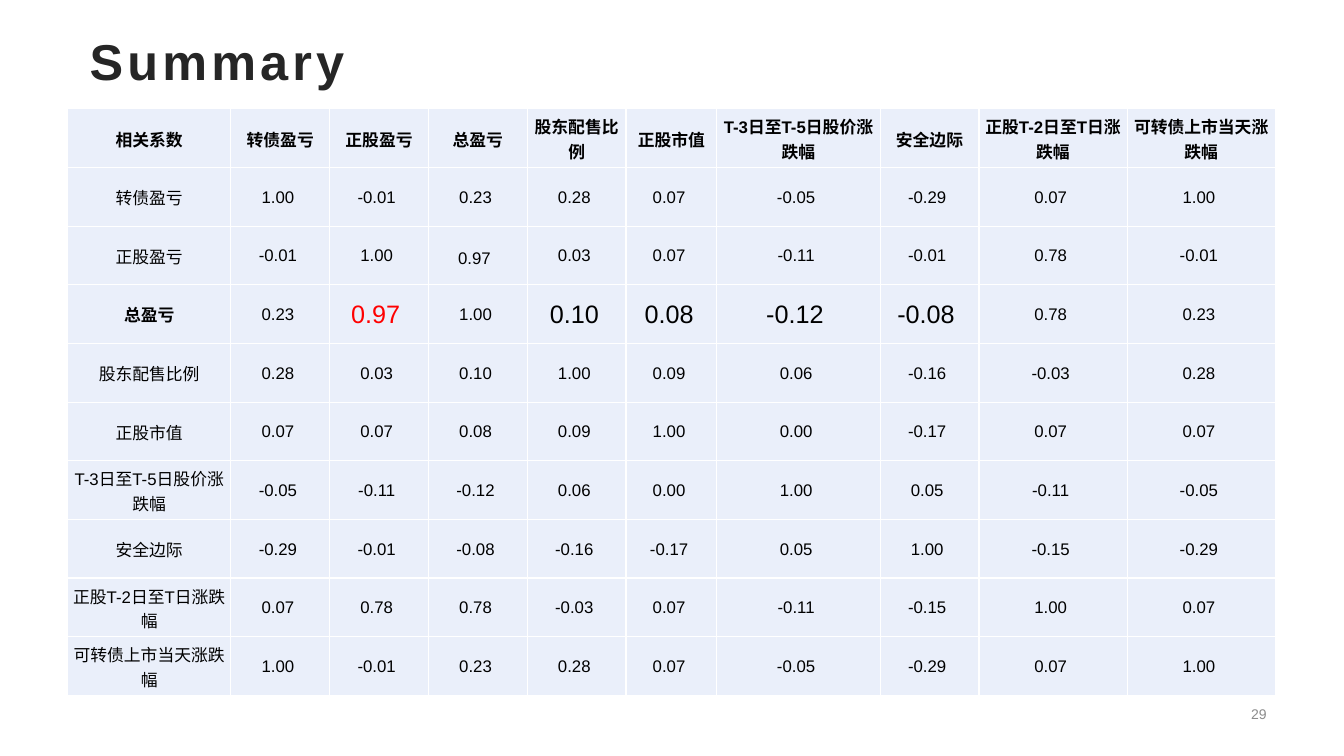
import pptx
import pptx.dml.color
import pptx.enum.text
import pptx.oxml
import pptx.oxml.ns
import pptx.util
from lxml import etree

# Content
TITLE = "Summary"
PAGE_NUMBER = "29"
CORNER = "相关系数"
FACTORS = [
    "转债盈亏", "正股盈亏", "总盈亏", "股东配售比例", "正股市值",
    "T-3日至T-5日股价涨跌幅", "安全边际", "正股T-2日至T日涨跌幅", "可转债上市当天涨跌幅",
]
CORRELATIONS = [
    [1.00, -0.01, 0.23, 0.28, 0.07, -0.05, -0.29, 0.07, 1.00],
    [-0.01, 1.00, 0.97, 0.03, 0.07, -0.11, -0.01, 0.78, -0.01],
    [0.23, 0.97, 1.00, 0.10, 0.08, -0.12, -0.08, 0.78, 0.23],
    [0.28, 0.03, 0.10, 1.00, 0.09, 0.06, -0.16, -0.03, 0.28],
    [0.07, 0.07, 0.08, 0.09, 1.00, 0.00, -0.17, 0.07, 0.07],
    [-0.05, -0.11, -0.12, 0.06, 0.00, 1.00, 0.05, -0.11, -0.05],
    [-0.29, -0.01, -0.08, -0.16, -0.17, 0.05, 1.00, -0.15, -0.29],
    [0.07, 0.78, 0.78, -0.03, 0.07, -0.11, -0.15, 1.00, 0.07],
    [1.00, -0.01, 0.23, 0.28, 0.07, -0.05, -0.29, 0.07, 1.00],
]
COLORS = {"title": "262626", "text": "000000", "highlight": "FF0000",
          "page": "8C8C8C", "cell": "EAEFFA", "border": "FFFFFF"}
FONT = "Arial"
BODY_SIZE, LARGE_SIZE = 12, 18
BOLD_ROW = 3

# Runs of the emphasised cells, by (row, column): text, size, colour
EMPHASIS = {
    (2, 3): [("0.97", BODY_SIZE, "text"), (" ", LARGE_SIZE, "highlight")],
    (3, 2): [("0.97 ", LARGE_SIZE, "highlight")],
    (3, 4): [("0.10", LARGE_SIZE, "text"), (" ", BODY_SIZE, "text")],
    (3, 5): [("0.08", LARGE_SIZE, "text"), (" ", BODY_SIZE, "text")],
    (3, 6): [("-0.12 ", LARGE_SIZE, "text")],
    (3, 7): [("-0.08 ", LARGE_SIZE, "text")],
}

# Layout in inches
TABLE_LEFT, TABLE_TOP, TABLE_HEIGHT = 0.67, 1.08, 5.82
COLUMN_WIDTHS = [1.62, 0.98, 0.98, 0.98, 0.98, 0.9, 1.62, 0.98, 1.47, 1.47]

Inches = pptx.util.Inches
ALIGN = pptx.enum.text.PP_ALIGN
MIDDLE = pptx.enum.text.MSO_ANCHOR.MIDDLE


def rgb(name):
    return pptx.dml.color.RGBColor.from_string(COLORS[name])


def add_run(paragraph, text, size, color, bold=False):
    run = paragraph.add_run()
    run.text = text
    run.font.name = FONT
    run.font.size = pptx.util.Pt(size)
    run.font.bold = bold
    run.font.color.rgb = rgb(color)
    return run


def add_text(slide, box, text, size, color, align, bold=False):
    frame = slide.shapes.add_textbox(*map(Inches, box)).text_frame
    frame.word_wrap = True
    frame.vertical_anchor = MIDDLE
    paragraph = frame.paragraphs[0]
    paragraph.alignment = align
    return add_run(paragraph, text, size, color, bold)


def style_cell(cell):
    cell.vertical_anchor = MIDDLE
    cell.margin_left = cell.margin_right = cell.margin_top = Inches(0.01)
    cell.margin_bottom = 0
    properties = cell._tc.get_or_add_tcPr()
    for side in ("lnL", "lnR", "lnT", "lnB"):
        line = etree.SubElement(properties, pptx.oxml.ns.qn("a:" + side), w="12700")
        fill = etree.SubElement(line, pptx.oxml.ns.qn("a:solidFill"))
        etree.SubElement(fill, pptx.oxml.ns.qn("a:srgbClr"), val=COLORS["border"])
    cell.fill.solid()
    cell.fill.fore_color.rgb = rgb("cell")


def add_correlation_table(slide):
    rows = [[CORNER] + FACTORS]
    for factor, values in zip(FACTORS, CORRELATIONS):
        rows.append([factor] + [f"{value:.2f} " for value in values])

    frame = slide.shapes.add_table(
        len(rows), len(COLUMN_WIDTHS), Inches(TABLE_LEFT), Inches(TABLE_TOP),
        Inches(sum(COLUMN_WIDTHS)), Inches(TABLE_HEIGHT))
    table = frame.table
    table.first_row = table.horz_banding = False
    for column, width in zip(table.columns, COLUMN_WIDTHS):
        column.width = Inches(width)
    for row in table.rows:
        row.height = Inches(TABLE_HEIGHT / len(rows))

    for row_index, row in enumerate(rows):
        for column_index, text in enumerate(row):
            cell = table.cell(row_index, column_index)
            style_cell(cell)
            paragraph = cell.text_frame.paragraphs[0]
            paragraph.alignment = ALIGN.CENTER
            bold = row_index == 0 or (row_index, column_index) == (BOLD_ROW, 0)
            plain = [(text, BODY_SIZE, "text")]
            for run in EMPHASIS.get((row_index, column_index), plain):
                add_run(paragraph, *run, bold)


def main():
    presentation = pptx.Presentation()
    presentation.slide_width = Inches(13.33)
    presentation.slide_height = Inches(7.5)
    slide = presentation.slides.add_slide(presentation.slide_layouts[6])

    # Page number and title
    add_text(slide, (9.71, 6.91, 2.95, 0.35), PAGE_NUMBER, 10, "page", ALIGN.RIGHT)
    title = add_text(slide, (0.79, 0.21, 11.72, 0.77), TITLE, 36, "title", ALIGN.LEFT, True)
    title.font._element.set("spc", "300")

    # Correlation matrix
    add_correlation_table(slide)
    presentation.save("out.pptx")


if __name__ == "__main__":
    main()
